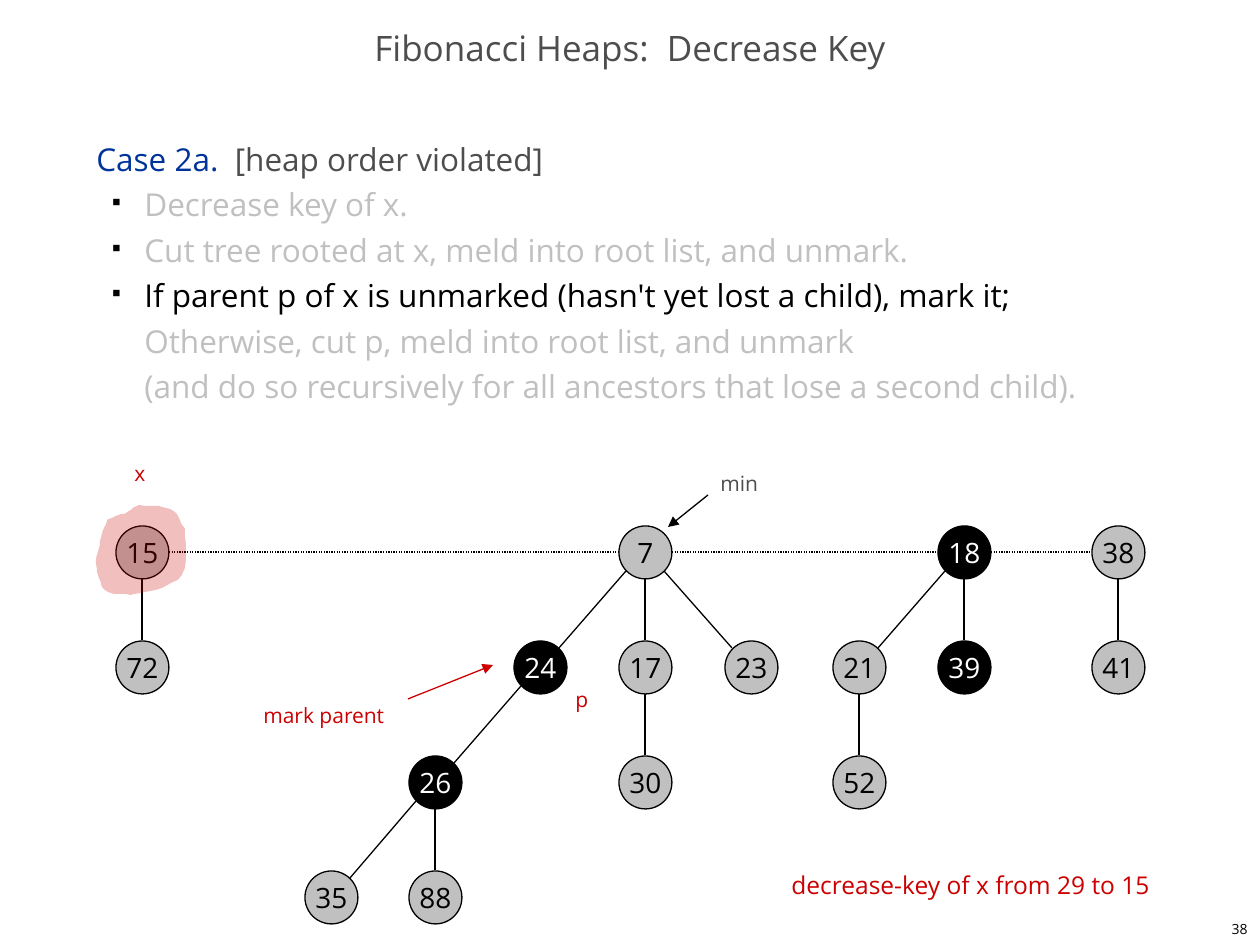
from lxml import etree
from pptx import Presentation
from pptx.dml.color import RGBColor
from pptx.enum.dml import MSO_LINE
from pptx.enum.shapes import MSO_CONNECTOR, MSO_SHAPE
from pptx.enum.text import MSO_ANCHOR, PP_ALIGN
from pptx.oxml.ns import qn
from pptx.util import Emu, Pt

LEFT, CENTER, RIGHT = PP_ALIGN.LEFT, PP_ALIGN.CENTER, PP_ALIGN.RIGHT
TOP, MIDDLE = MSO_ANCHOR.TOP, MSO_ANCHOR.MIDDLE
OVAL, STRAIGHT, DOTS = MSO_SHAPE.OVAL, MSO_CONNECTOR.STRAIGHT, MSO_LINE.ROUND_DOT
BLACK = RGBColor(0x00, 0x00, 0x00)
MARKED = RGBColor(0x01, 0x00, 0x00)
WHITE = RGBColor(0xFF, 0xFF, 0xFF)
GRAY = RGBColor(0xC0, 0xC0, 0xC0)
DARK = RGBColor(0x4D, 0x4D, 0x4D)
BLUE = RGBColor(0x00, 0x33, 0x99)
RED = RGBColor(0xCC, 0x00, 0x00)

FONT = "Open Sans"
PX_PER_INCH = 126
DIAMETER = 53
RADIUS = 27
DIAGONAL = 19
ROOT_Y, LEVEL_GAP = 552, 115

NODES = {
    15: (142, 0), 72: (142, 1),
    7: (645, 0), 24: (540, 1), 17: (645, 1), 23: (751, 1),
    26: (435, 2), 30: (645, 2), 35: (331, 3), 88: (435, 3),
    18: (964, 0), 21: (859, 1), 39: (964, 1), 52: (859, 2),
    38: (1118, 0), 41: (1118, 1),
}
MARKED_KEYS = {18, 24, 26, 39}
ROOTS = [15, 7, 18, 38]
EDGES = [(15, 72), (7, 24), (7, 17), (7, 23), (24, 26), (17, 30), (26, 35),
         (26, 88), (18, 21), (18, 39), (21, 52), (38, 41)]

HALO_START = (107, 520)
HALO_CURVES = [
    ((113, 518), (120, 514), (126, 513)),
    ((135, 507), (131, 508), (139, 505)),
    ((158, 507), (161, 504), (175, 512)),
    ((180, 518), (181, 523), (185, 529)),
    ((185, 546), (193, 578), (171, 583)),
    ((159, 591), (144, 592), (130, 595)),
    ((120, 593), (108, 597), (102, 587)),
    ((98, 576), (97, 575), (96, 559)),
    ((98, 549), (101, 541), (103, 530)),
    ((105, 527), (107, 523), (107, 520)),
]

BODY = [
    [("Case 2a.  ", BLUE), ("[heap order violated]", DARK)],
    [("Decrease key of x.", GRAY)],
    [("Cut tree rooted at x, meld into root list, and unmark.", GRAY)],
    [("If parent p of x is unmarked (hasn't yet lost a child), mark it;\n", BLACK),
     ("Otherwise, cut p, meld into root list, and unmark\n"
      "(and do so recursively for all ancestors that lose a second child).", GRAY)],
]

LABELS = [
    ("min", 708, 464, 64, 38, 12, DARK),
    ("decrease-key of x from 29 to 15", 779, 864, 404, 42, 14, RED),
    ("p", 563, 680, 38, 38, 12, RED),
    ("x", 122, 454, 37, 38, 12, RED),
    ("mark parent", 251, 696, 150, 38, 12, RED),
]


def emu(px):
    return Emu(round(px * 914400 / PX_PER_INCH))


def add_text(p, text, size=18, color=BLACK, align=LEFT):
    p.alignment = align
    for i, part in enumerate(text.split("\n")):
        if i:
            p.add_line_break()
        if part:
            r = p.add_run()
            r.text = part
            r.font.name = FONT
            r.font.size = Pt(size)
            r.font.color.rgb = color


def add_bullet(p):
    pPr = p._p.get_or_add_pPr()
    pPr.set("marL", str(emu(48)))
    pPr.set("indent", str(emu(-32)))
    clr = etree.SubElement(pPr, qn("a:buClr"))
    etree.SubElement(clr, qn("a:srgbClr"), val=str(BLACK))
    etree.SubElement(pPr, qn("a:buSzPct"), val="35000")
    etree.SubElement(pPr, qn("a:buChar"), char="■")


def curve_points(start, curves, steps=8):
    for a, b, end in curves:
        for i in range(1, steps + 1):
            t = i / steps
            u = 1 - t
            yield tuple(
                round(u**3 * p0 + 3 * u * u * t * p1 + 3 * u * t * t * p2 + t**3 * p3)
                for p0, p1, p2, p3 in zip(start, a, b, end))
        start = end


class HeapSlide:
    def __init__(self, s):
        self.s = s

    def box(self, x, y, w, h, anchor=TOP, wrap=False):
        tf = self.s.shapes.add_textbox(*map(emu, (x, y, w, h))).text_frame
        tf.word_wrap = wrap
        tf.vertical_anchor = anchor
        return tf

    def line(self, x1, y1, x2, y2, color=BLACK, dash=None, arrow=False):
        c = self.s.shapes.add_connector(STRAIGHT, *map(emu, (x1, y1, x2, y2)))
        c.line.color.rgb = color
        c.line.width = Pt(0.75)
        if dash:
            c.line.dash_style = dash
        if arrow:
            etree.SubElement(c.line._get_or_add_ln(), qn("a:tailEnd"), type="triangle")
        etree.SubElement(c._element.spPr, qn("a:effectLst"))

    def node(self, key):
        x, level = NODES[key]
        top = ROOT_Y + level * LEVEL_GAP - DIAMETER // 2
        sp = self.s.shapes.add_shape(
            OVAL, *map(emu, (x - DIAMETER // 2, top, DIAMETER, DIAMETER)))
        sp.shadow.inherit = False
        marked = key in MARKED_KEYS
        sp.fill.solid()
        sp.fill.fore_color.rgb = MARKED if marked else GRAY
        sp.line.color.rgb = BLACK
        sp.line.width = Pt(0.75)
        tf = sp.text_frame
        tf.word_wrap = False
        tf.vertical_anchor = MIDDLE
        add_text(tf.paragraphs[0], str(key), size=16,
                 color=WHITE if marked else BLACK, align=CENTER)

    def edge(self, parent, child):
        (x1, level1), (x2, level2) = NODES[parent], NODES[child]
        side = (x2 > x1) - (x2 < x1)
        dx, dy = (side * DIAGONAL, DIAGONAL) if side else (0, RADIUS)
        y1, y2 = (ROOT_Y + level * LEVEL_GAP for level in (level1, level2))
        self.line(x1 + dx, y1 + dy, x2 - dx, y2 - dy)

    def halo(self):
        builder = self.s.shapes.build_freeform(*HALO_START, scale=914400 / PX_PER_INCH)
        builder.add_line_segments(list(curve_points(HALO_START, HALO_CURVES)), close=True)
        sp = builder.convert_to_shape()
        sp.shadow.inherit = False
        sp.fill.solid()
        sp.fill.fore_color.rgb = RED
        sp.line.fill.background()
        clr = sp._element.spPr.find(".//" + qn("a:srgbClr"))
        etree.SubElement(clr, qn("a:alpha"), val="25000")

    def body(self):
        tf = self.box(84, 126, 1081, 746, wrap=True)
        for i, runs in enumerate(BODY):
            p = tf.add_paragraph() if i else tf.paragraphs[0]
            p.line_spacing = Pt(26)
            for text, color in runs:
                add_text(p, text, color=color)
            if i:
                add_bullet(p)


def main():
    prs = Presentation()
    prs.slide_width, prs.slide_height = emu(1260), emu(945)
    slide = HeapSlide(prs.slides.add_slide(prs.slide_layouts[6]))

    title = slide.box(0, 21, 1260, 63, anchor=MIDDLE, wrap=True).paragraphs[0]
    title.line_spacing = 0.7
    add_text(title, "Fibonacci Heaps:  Decrease Key", size=20, color=DARK, align=CENTER)
    number = slide.box(998, 913, 262, 32, anchor=MIDDLE, wrap=True)
    add_text(number.paragraphs[0], "38", size=8, align=RIGHT)
    slide.body()

    for left, right in zip(ROOTS, ROOTS[1:]):
        slide.line(NODES[left][0] + RADIUS, ROOT_Y, NODES[right][0] - RADIUS, ROOT_Y,
                   dash=DOTS)
    for parent, child in EDGES:
        slide.edge(parent, child)
    for key in NODES:
        slide.node(key)
    slide.halo()

    for text, x, y, w, h, size, color in LABELS:
        add_text(slide.box(x, y, w, h).paragraphs[0], text, size=size, color=color)
    slide.line(708, 495, 668, 527, arrow=True)
    slide.line(408, 699, 493, 665, color=RED, arrow=True)
    prs.save("out.pptx")


if __name__ == "__main__":
    main()
